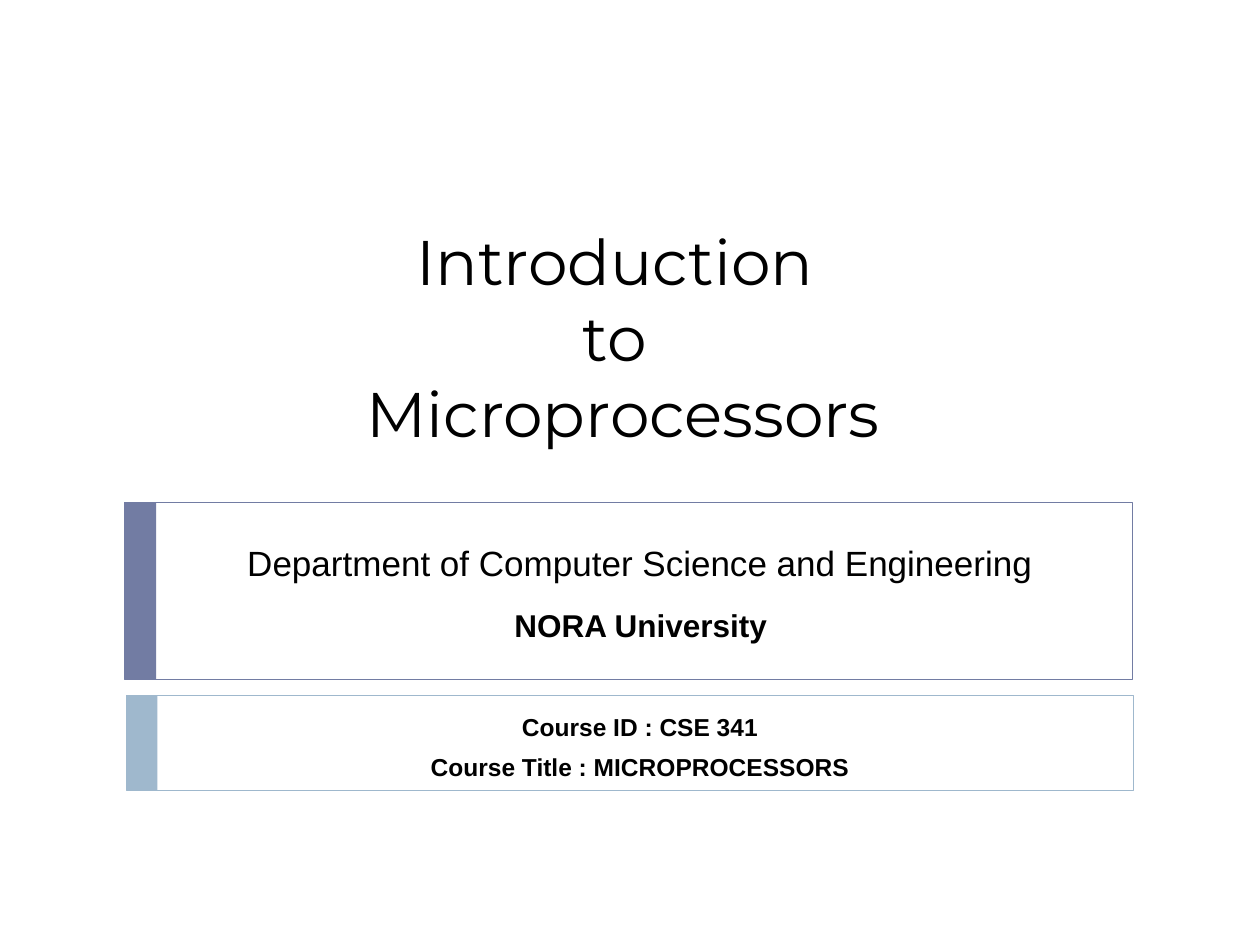
from pptx import Presentation
from pptx.dml.color import RGBColor
from pptx.enum.shapes import MSO_SHAPE
from pptx.enum.text import MSO_ANCHOR, PP_ALIGN
from pptx.util import Inches, Pt

RECTANGLE = MSO_SHAPE.RECTANGLE
TOP, MIDDLE = MSO_ANCHOR.TOP, MSO_ANCHOR.MIDDLE
CENTER = PP_ALIGN.CENTER
COLORS = {"indigo": "727CA3", "sky": "9FB8CD", "text": "000000", "paper": "FFFFFF"}


def color(name):
    """Return the named palette colour."""
    return RGBColor.from_string(COLORS[name])


def add_rectangle(slide, left, top, width, height, fill=None, line=None, line_width=0.5):
    """Add a rectangle with an optional fill and outline."""
    shape = slide.shapes.add_shape(
        RECTANGLE, Inches(left), Inches(top), Inches(width), Inches(height))
    shape.shadow.inherit = False
    if fill:
        shape.fill.solid()
        shape.fill.fore_color.rgb = color(fill)
    else:
        shape.fill.background()
    if line:
        shape.line.color.rgb = color(line)
        shape.line.width = Pt(line_width)
    else:
        shape.line.fill.background()
    return shape


def write_lines(shape, lines, size, font="Arial", bold=False, anchor=TOP, space_before=0):
    """Write centred paragraphs into a shape."""
    frame = shape.text_frame
    frame.word_wrap = True
    frame.vertical_anchor = anchor
    for index, line in enumerate(lines):
        paragraph = frame.add_paragraph() if index else frame.paragraphs[0]
        paragraph.alignment = CENTER
        paragraph.space_before = Pt(space_before)
        run = paragraph.add_run()
        run.text = line
        run.font.name = font
        run.font.size = Pt(size)
        run.font.bold = bold
        run.font.color.rgb = color("text")


def add_text(slide, left, top, width, height, lines, size, **style):
    """Add a text box holding centred lines."""
    box = slide.shapes.add_textbox(
        Inches(left), Inches(top), Inches(width), Inches(height))
    write_lines(box, lines, size, **style)


def add_banner(slide, left, top, width, height, accent):
    """Add an outlined panel with a solid bar at its left edge."""
    add_rectangle(slide, left, top, width, height, line=accent)
    add_rectangle(slide, left, top, 0.25, height, fill=accent)


def add_title(slide, left, top, width, height):
    """Add the lecture title."""
    panel = add_rectangle(slide, left, top, width, height, "paper", "paper", 1.5)
    write_lines(panel, ["Introduction ", "to ", "Microprocessors"], 36,
                font="Montserrat", anchor=MIDDLE)


def add_department(slide, left, top, width, height):
    """Add the department banner with the university name."""
    add_banner(slide, left, top, width, height, "indigo")
    add_text(slide, left + 0.34, top + 0.26, 7.5, 1.08,
             ["Department of Computer Science and Engineering"], 20)
    university = add_rectangle(slide, left + 2.18, top + 0.68, 3.83, 0.58,
                               "paper", "paper", 1.5)
    write_lines(university, ["NORA University"], 18, bold=True, anchor=MIDDLE)


def add_course(slide, left, top, width, height):
    """Add the course banner."""
    add_banner(slide, left, top, width, height, "sky")
    add_text(slide, left + 0.33, top + 0.08, 7.5, 0.98,
             ["Course ID : CSE 341", "Course Title : MICROPROCESSORS"], 14,
             bold=True, space_before=6)


def main():
    """Build and save the title slide."""
    presentation = Presentation()
    presentation.slide_width = Inches(10)
    presentation.slide_height = Inches(7.5)
    slide = presentation.slides.add_slide(presentation.slide_layouts[6])
    add_department(slide, 0.99, 3.99, 8, 1.4)
    add_course(slide, 1, 5.52, 8, 0.75)
    add_title(slide, 1.07, 1.67, 7.75, 2)
    presentation.save("out.pptx")


if __name__ == "__main__":
    main()
